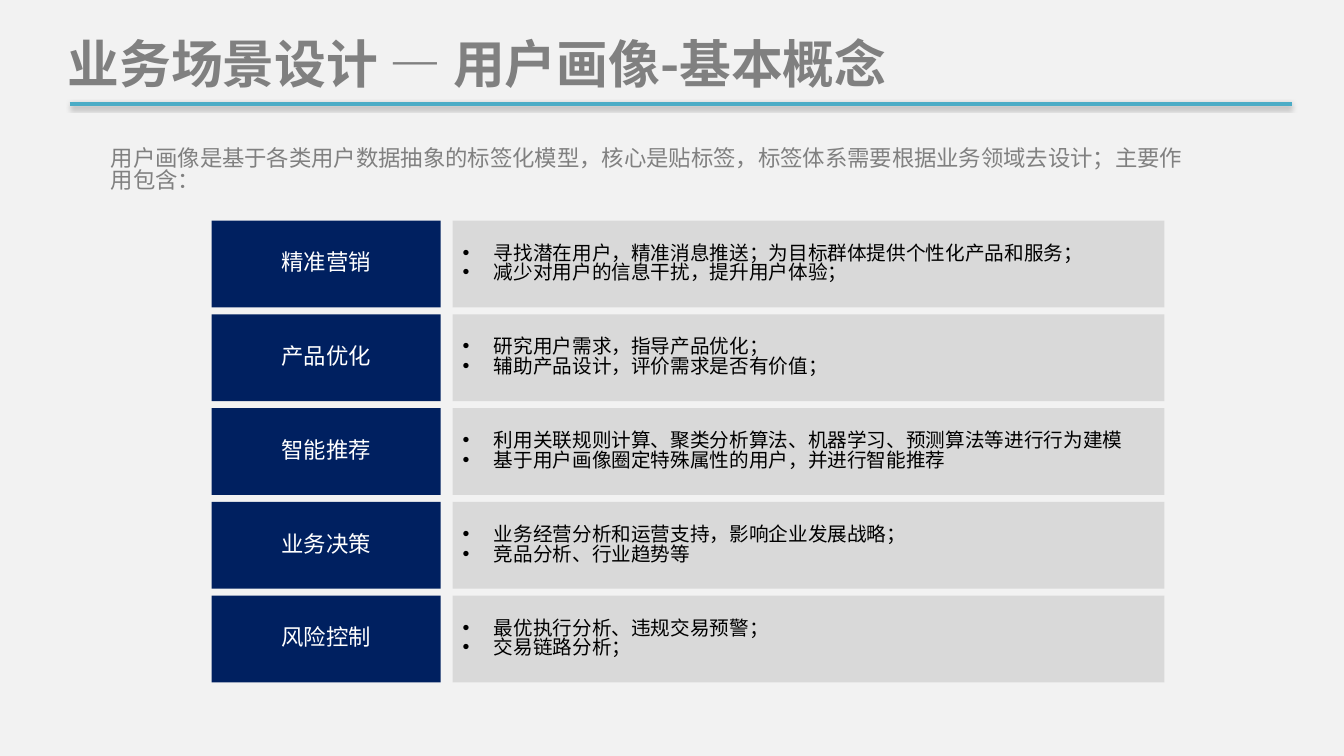
from lxml import etree
from pptx import Presentation
from pptx.dml.color import RGBColor
from pptx.enum.shapes import MSO_CONNECTOR, MSO_SHAPE
from pptx.enum.text import MSO_ANCHOR, MSO_AUTO_SIZE, PP_ALIGN
from pptx.oxml import parse_xml
from pptx.oxml.ns import nsdecls, qn
from pptx.util import Inches, Pt

RECT, STRAIGHT = MSO_SHAPE.RECTANGLE, MSO_CONNECTOR.STRAIGHT
MIDDLE, TOP = MSO_ANCHOR.MIDDLE, MSO_ANCHOR.TOP
LEFT, CENTER = PP_ALIGN.LEFT, PP_ALIGN.CENTER
NO_FIT = MSO_AUTO_SIZE.NONE

FONT = "Noto Sans CJK SC"
COLORS = {
    "background": "F2F2F2", "rule": "4BACC6", "gray": "808080",
    "navy": "002060", "panel": "D9D9D9", "white": "FFFFFF", "black": "000000",
}
LINE_SPACING = 0.84
ROW_TOP, ROW_PITCH = 2.19, 0.93

TITLE = "业务场景设计 — 用户画像-基本概念"
INTRO = ("用户画像是基于各类用户数据抽象的标签化模型，核心是贴标签，"
         "标签体系需要根据业务领域去设计；主要作用包含：")
USES = [
    ("精准营销", ["寻找潜在用户，精准消息推送；为目标群体提供个性化产品和服务；",
              "减少对用户的信息干扰，提升用户体验；"]),
    ("产品优化", ["研究用户需求，指导产品优化；",
              "辅助产品设计，评价需求是否有价值；"]),
    ("智能推荐", ["利用关联规则计算、聚类分析算法、机器学习、预测算法等进行行为建模",
              "基于用户画像圈定特殊属性的用户，并进行智能推荐"]),
    ("业务决策", ["业务经营分析和运营支持，影响企业发展战略；",
              "竞品分析、行业趋势等"]),
    ("风险控制", ["最优执行分析、违规交易预警；",
              "交易链路分析；"]),
]


def rgb(name):
    return RGBColor.from_string(COLORS[name])


def set_text(sp, text, size, color, align=LEFT, anchor=MIDDLE,
             spacing=LINE_SPACING, bold=False):
    tf = sp.text_frame
    tf.word_wrap = True
    tf.auto_size = NO_FIT
    tf.vertical_anchor = anchor
    tf.text = text
    for p in tf.paragraphs:
        p.alignment = align
        p.line_spacing = spacing
        p.space_before = Pt(0)
        for r in p.runs:
            r.font.size = Pt(size)
            r.font.bold = bold
            r.font.name = FONT
            r.font.color.rgb = rgb(color)
            ea = etree.SubElement(r.font._element, qn("a:ea"))
            ea.set("typeface", FONT)


def add_bullets(sp):
    for p in sp.text_frame.paragraphs:
        pPr = p._p.get_or_add_pPr()
        pPr.set("marL", str(Inches(0.31)))
        pPr.set("indent", str(-Inches(0.31)))
        etree.SubElement(pPr, qn("a:buFont")).set("typeface", "Arial")
        etree.SubElement(pPr, qn("a:buChar")).set("char", "•")


def add_box(slide, x, y, w, h, fill):
    sp = slide.shapes.add_shape(RECT, Inches(x), Inches(y), Inches(w), Inches(h))
    sp.shadow.inherit = False
    sp.fill.solid()
    sp.fill.fore_color.rgb = rgb(fill)
    sp.line.fill.background()
    return sp


def add_title(slide):
    sp = slide.shapes.title
    sp.left, sp.top = Inches(0.57), Inches(0.34)
    sp.width, sp.height = Inches(11.2), Inches(0.65)
    set_text(sp, TITLE, 37, "gray", spacing=0.9, bold=True)


def add_title_rule(slide):
    line = slide.shapes.add_connector(
        STRAIGHT, Inches(0.69), Inches(1.03), Inches(12.81), Inches(1.03))
    line.line.color.rgb = rgb("rule")
    line.line.width = Pt(3)
    line._element.spPr.append(parse_xml(
        f'<a:effectLst {nsdecls("a")}>'
        f'<a:outerShdw blurRad="{Pt(3.1)}" dist="{Pt(1.8)}" dir="5400000" '
        f'rotWithShape="0"><a:srgbClr val="{COLORS["black"]}">'
        '<a:alpha val="35000"/></a:srgbClr></a:outerShdw></a:effectLst>'))


def add_intro(slide):
    sp = slide.shapes.add_textbox(
        Inches(1), Inches(1.42), Inches(11.01), Inches(0.64))
    set_text(sp, INTRO, 16, "gray", anchor=TOP)


def add_use_row(slide, y, name, points):
    label = add_box(slide, 2.1, y, 2.27, 0.86, "navy")
    set_text(label, name, 16, "white", align=CENTER)
    panel = add_box(slide, 4.49, y, 7.06, 0.86, "panel")
    set_text(panel, "\n".join(points), 14, "black")
    add_bullets(panel)


def main():
    prs = Presentation()
    prs.slide_width, prs.slide_height = Inches(13.33), Inches(7.5)
    slide = prs.slides.add_slide(prs.slide_layouts[5])
    slide.background.fill.solid()
    slide.background.fill.fore_color.rgb = rgb("background")

    # Heading
    add_title_rule(slide)
    add_title(slide)
    add_intro(slide)

    # Uses of the user profile, one row each
    for i, (name, points) in enumerate(USES):
        add_use_row(slide, ROW_TOP + i * ROW_PITCH, name, points)

    prs.save("out.pptx")


if __name__ == "__main__":
    main()
